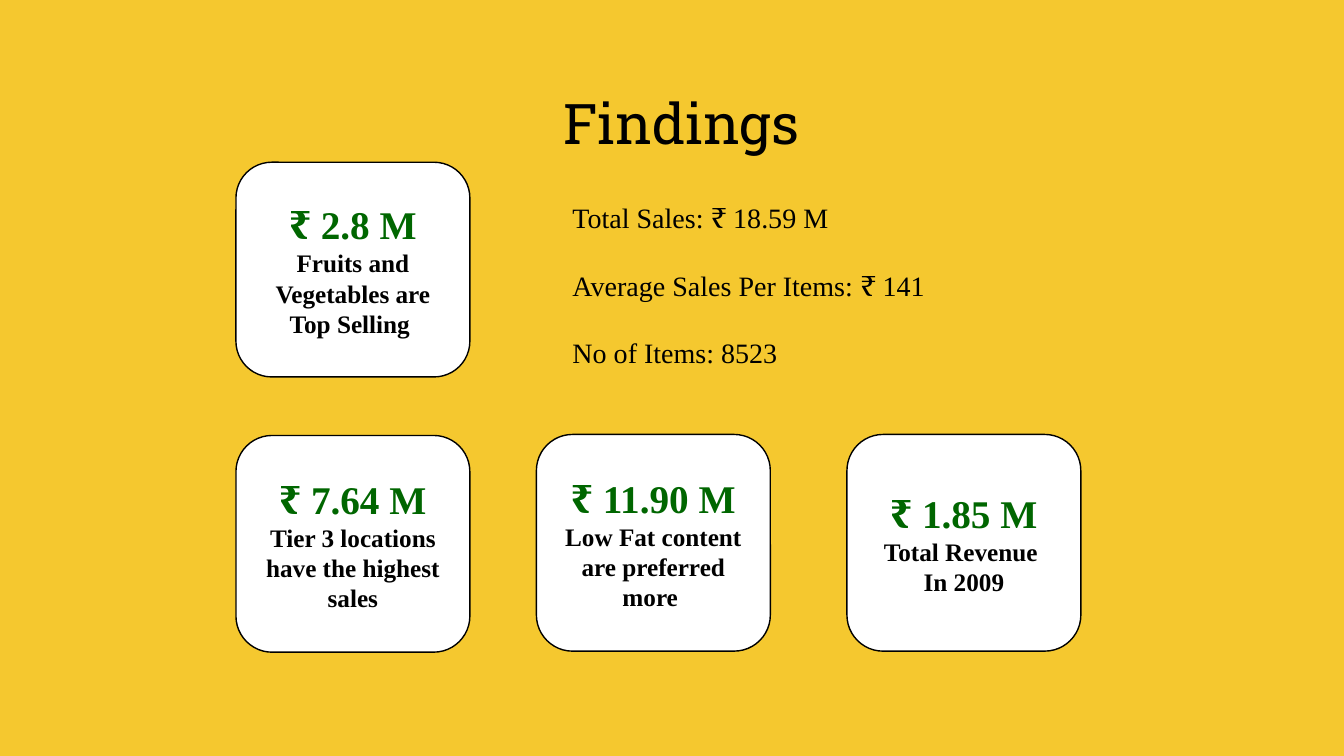
from pptx import Presentation
from pptx import util as u
from pptx.dml.color import RGBColor
from pptx.enum import shapes, text

YELLOW = RGBColor(0xF5, 0xC8, 0x2F)
WHITE = RGBColor(0xFF, 0xFF, 0xFF)
BLACK = RGBColor(0x00, 0x00, 0x00)
GREEN = RGBColor(0x00, 0x66, 0x00)


class FindingsSlide:
    heading_font = "Roboto Slab"
    body_font = "Times New Roman"

    def __init__(self, deck):
        self.slide = deck.slides.add_slide(deck.slide_layouts[6])
        self.slide.background.fill.solid()
        self.slide.background.fill.fore_color.rgb = YELLOW

    def line(self, frame, index, wording, size, font, color=BLACK, bold=False):
        paragraph = frame.paragraphs[0] if index == 0 else frame.add_paragraph()
        paragraph.text = wording
        paragraph.font.size = u.Pt(size)
        paragraph.font.name = font
        paragraph.font.color.rgb = color
        paragraph.font.bold = bold
        return paragraph

    def card(self, left, top, height, amount, *captions):
        card = self.slide.shapes.add_shape(
            shapes.MSO_SHAPE.ROUNDED_RECTANGLE,
            u.Inches(left), u.Inches(top), u.Inches(2.32), u.Inches(height))
        card.shadow.inherit = False
        card.fill.solid()
        card.fill.fore_color.rgb = WHITE
        card.line.color.rgb = BLACK
        card.line.width = u.Pt(1)
        frame = card.text_frame
        frame.word_wrap = True
        frame.vertical_anchor = text.MSO_ANCHOR.MIDDLE
        self.line(frame, 0, amount, 28, self.body_font, GREEN, bold=True)
        for index, caption in enumerate(captions, 1):
            self.line(frame, index, caption, 18, self.body_font, bold=True)
        for paragraph in frame.paragraphs:
            paragraph.alignment = text.PP_ALIGN.CENTER

    def text_block(self, left, top, width, height, lines, size, font, spacing=1.0):
        block = self.slide.shapes.add_textbox(
            u.Inches(left), u.Inches(top), u.Inches(width), u.Inches(height))
        frame = block.text_frame
        frame.word_wrap = False
        frame.auto_size = text.MSO_AUTO_SIZE.SHAPE_TO_FIT_TEXT
        for index, wording in enumerate(lines):
            self.line(frame, index, wording, size, font).line_spacing = spacing


def main():
    deck = Presentation()
    deck.slide_width, deck.slide_height = u.Inches(13.33), u.Inches(7.5)
    findings = FindingsSlide(deck)

    # Highlight cards
    findings.card(2.34, 1.61, 2.13, "₹ 2.8 M", "Fruits and", "Vegetables are Top Selling ")
    findings.card(2.34, 4.32, 2.15, "₹ 7.64 M", "Tier 3 locations have the highest sales")
    findings.card(5.32, 4.31, 2.15, "₹ 11.90 M", "Low Fat content are preferred more ")
    findings.card(8.4, 4.31, 2.15, "₹ 1.85 M", "Total Revenue ", "In 2009")

    # Title and overall totals
    findings.text_block(5.49, 0.83, 2.69, 0.77, ["Findings"], 40, findings.heading_font)
    totals = ["Total Sales: ₹ 18.59 M", "Average Sales Per Items: ₹ 141", "No of Items: 8523"]
    findings.text_block(5.58, 1.61, 3.7, 2.02, totals, 20, findings.body_font, spacing=2.0)

    deck.save("out.pptx")


if __name__ == "__main__":
    main()
